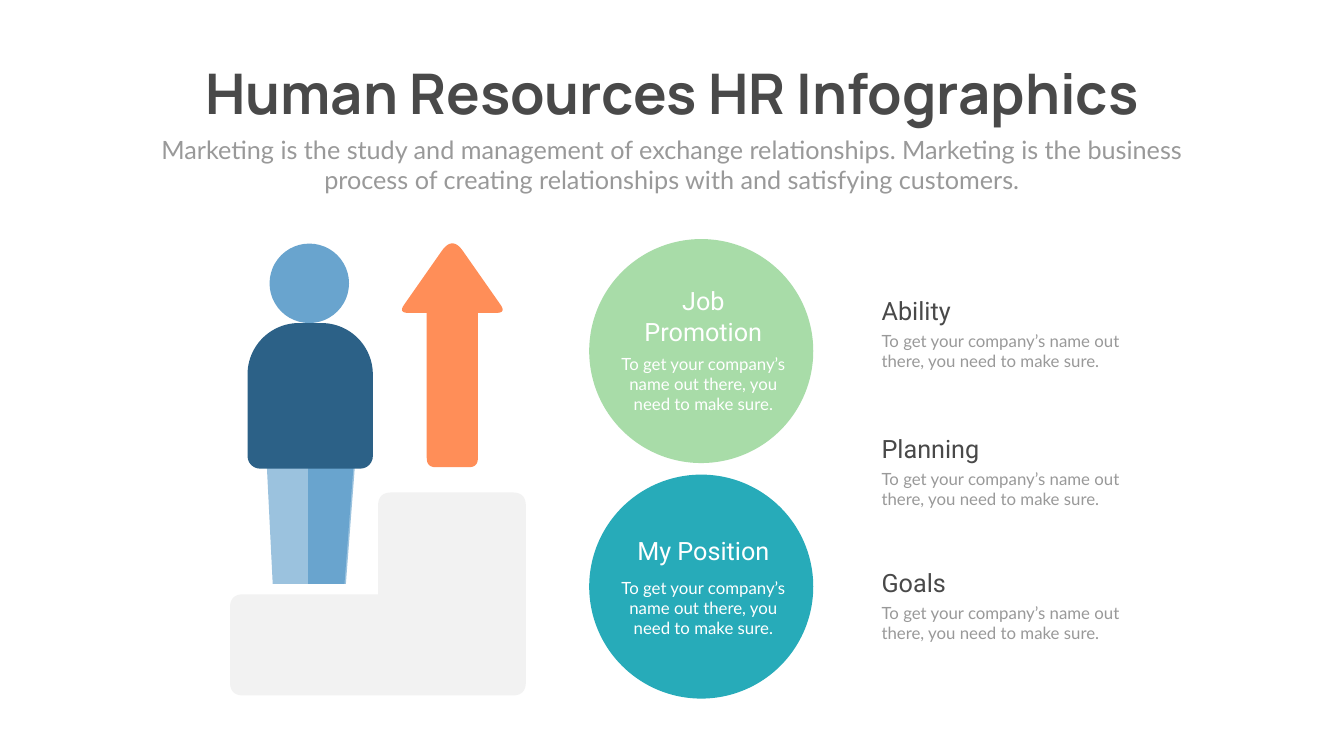
from math import dist

from pptx import Presentation
from pptx.dml.color import RGBColor
from pptx.enum.shapes import MSO_SHAPE as Shape
from pptx.enum.text import MSO_ANCHOR as Anchor, PP_ALIGN as Align
from pptx.util import Pt

DARK = RGBColor(0x49, 0x49, 0x49)
GRAY = RGBColor(0x99, 0x99, 0x99)
WHITE = RGBColor(0xFF, 0xFF, 0xFF)
LIGHT_BLUE = RGBColor(0x9B, 0xC2, 0xDE)
BLUE = RGBColor(0x69, 0xA4, 0xCE)
NAVY = RGBColor(0x2C, 0x61, 0x87)
PALE = RGBColor(0xF2, 0xF2, 0xF2)
ORANGE = RGBColor(0xFF, 0x8E, 0x58)
GREEN = RGBColor(0xA8, 0xDC, 0xA8)
TEAL = RGBColor(0x27, 0xAB, 0xB9)

TITLE = "Human Resources HR Infographics"
SUBTITLE = ("Marketing is the study and management of exchange relationships. "
            "Marketing is the business process of creating relationships with "
            "and satisfying customers.")
DETAIL = "To get your company’s name out there, you need to make sure."

# heading, colour, circle top, heading top, heading height, detail top
CIRCLES = [
    ("Job Promotion", GREEN, 341.5, 404.5, 94, 502),
    ("My Position", TEAL, 678, 761, 51, 821.5),
]
# heading, top
ITEMS = [("Ability", 418), ("Planning", 615), ("Goals", 806.5)]

# Outlines: x, y, corner radius
LEGS = [(381, 664, 0), (507, 664, 0), (494, 834, 0), (389.5, 834, 0)]
NEAR_LEG = [(440, 664, 0), (505, 664, 0), (492, 834, 0), (440, 834, 0)]
STEPS = [(540, 703.5, 19), (751, 703.5, 19), (751, 993.5, 19),
         (328.5, 993.5, 19), (328.5, 849, 19), (540, 849, 0)]
ARROW = [(646, 337, 26), (723, 447, 14), (682.5, 447, 0), (682.5, 667.5, 13),
         (609.5, 667.5, 13), (609.5, 447, 0), (569, 447, 14)]

CIRCLE_LEFT, CIRCLE_SIZE = 841.5, 320
CIRCLE_CENTER = CIRCLE_LEFT + CIRCLE_SIZE / 2 + 3
ITEM_LEFT, HEADING_HEIGHT = 1252, 51
CURVE_STEPS = 10

presentation = Presentation()
presentation.slide_width = Pt(1919.5)
presentation.slide_height = Pt(1080)
slide = presentation.slides.add_slide(presentation.slide_layouts[0])
shapes = slide.shapes


def paint(shape, color):
    shape.shadow.inherit = False
    shape.fill.solid()
    shape.fill.fore_color.rgb = color
    shape.line.fill.background()


def add_preset(kind, left, top, width, height, color):
    shape = shapes.add_shape(kind, Pt(left), Pt(top), Pt(width), Pt(height))
    paint(shape, color)
    return shape


def toward(start, end, length):
    share = length / dist(start, end)
    return tuple(a + (b - a) * share for a, b in zip(start, end))


def add_outline(corners, color):
    """Draw a polygon whose corners are rounded by quadratic curves."""
    points = []
    for index, (x, y, radius) in enumerate(corners):
        corner = (x, y)
        if not radius:
            points.append(corner)
            continue
        start = toward(corner, corners[index - 1][:2], radius)
        end = toward(corner, corners[(index + 1) % len(corners)][:2], radius)
        for step in range(CURVE_STEPS + 1):
            t = step / CURVE_STEPS
            points.append(tuple((1 - t) ** 2 * a + 2 * t * (1 - t) * b + t * t * c
                                for a, b, c in zip(start, corner, end)))
    points = [(Pt(x), Pt(y)) for x, y in points]
    builder = shapes.build_freeform(*points[0])
    builder.add_line_segments(points[1:], close=True)
    paint(builder.convert_to_shape(), color)


def set_text(shape, text, font_name, size, color, align, bold=False, wrap=True):
    frame = shape.text_frame
    frame.text = text
    frame.word_wrap = wrap
    frame.vertical_anchor = Anchor.TOP
    paragraph = frame.paragraphs[0]
    paragraph.alignment = align
    paragraph.space_before = Pt(0)
    paragraph.line_spacing = 1.0
    font = paragraph.font
    font.name, font.size, font.bold = font_name, Pt(size), bold
    font.color.rgb = color


def place(shape, left, top, width, height):
    shape.left, shape.top = Pt(left), Pt(top)
    shape.width, shape.height = Pt(width), Pt(height)


def add_text(text, left, top, width, height, *style):
    box = shapes.add_textbox(Pt(left), Pt(top), Pt(width), Pt(height))
    set_text(box, text, *style)


title, subtitle = slide.placeholders
place(title, 236, 80.5, 1448, 104.5)
set_text(title, TITLE, "Manrope", 80, DARK, Align.CENTER, bold=True, wrap=False)
place(subtitle, 210, 188, 1499, 94)
set_text(subtitle, SUBTITLE, "Lato", 36, GRAY, Align.CENTER)

add_preset(Shape.OVAL, 385, 348, 113.5, 113.5, BLUE)
add_outline(LEGS, LIGHT_BLUE)
add_outline(NEAR_LEG, BLUE)
torso = add_preset(Shape.ROUND_2_SAME_RECTANGLE, 353.5, 461.5, 179, 208, NAVY)
torso.adjustments[0] = 0.41
torso.adjustments[1] = 0.1
add_outline(STEPS, PALE)
add_outline(ARROW, ORANGE)

for heading, color, top, heading_top, heading_height, detail_top in CIRCLES:
    add_preset(Shape.OVAL, CIRCLE_LEFT, top, CIRCLE_SIZE, CIRCLE_SIZE, color)
    for text, text_top, width, height, font_name, size in (
            (DETAIL, detail_top, 282, 92, "Lato", 24),
            (heading, heading_top, 229, heading_height, "Roboto", 36)):
        add_text(text, CIRCLE_CENTER - width / 2, text_top, width, height,
                 font_name, size, WHITE, Align.CENTER)

for heading, top in ITEMS:
    add_text(DETAIL, ITEM_LEFT, top + HEADING_HEIGHT, 356, 65.5,
             "Lato", 24, GRAY, Align.LEFT)
    add_text(heading, ITEM_LEFT, top, 235, HEADING_HEIGHT,
             "Roboto", 36, DARK, Align.LEFT)

presentation.save("out.pptx")
